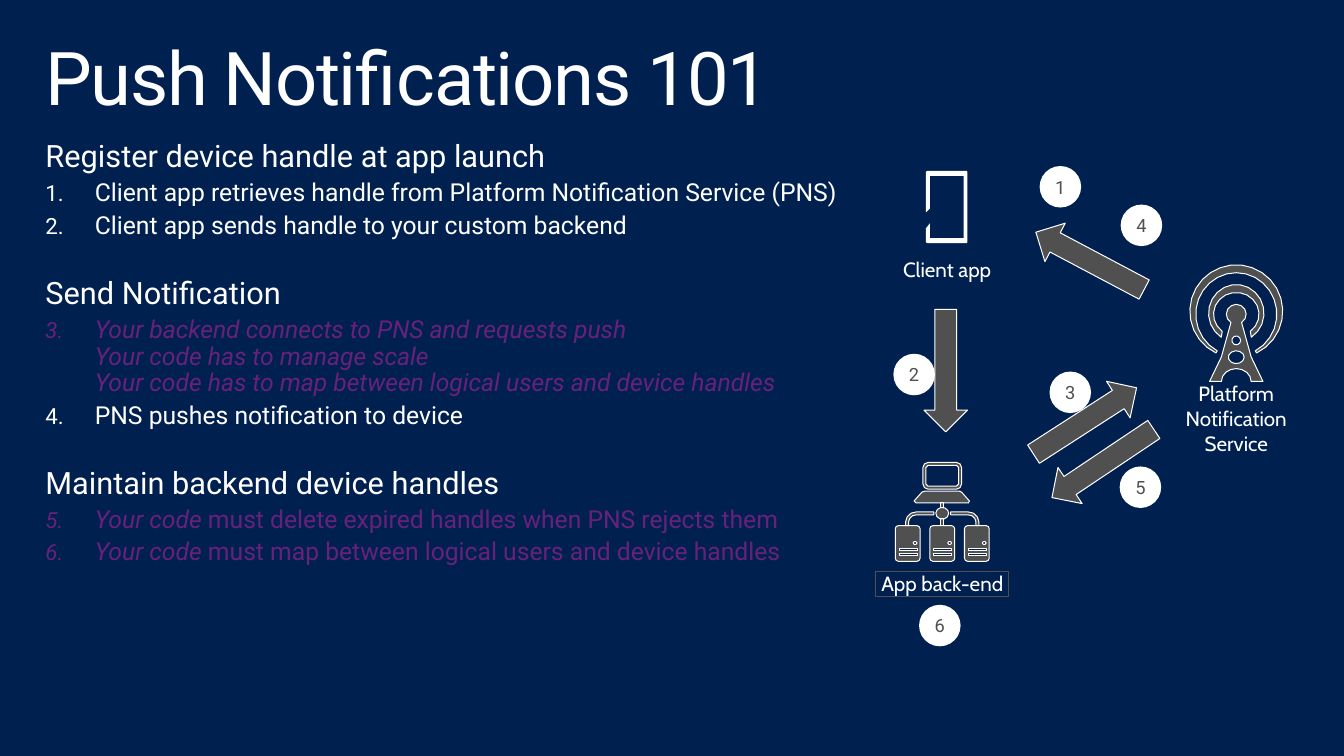
"""Build the Push Notifications 101 slide: numbered steps beside a message flow diagram."""
import math

import pptx
import pptx.dml.color
import pptx.enum.shapes
import pptx.enum.text
import pptx.oxml.ns
import pptx.util

WHITE, GREY, PURPLE, NAVY = "FFFFFF", "505050", "68217A", "002050"
Pt = pptx.util.Pt
shape_kinds = pptx.enum.shapes.MSO_SHAPE
anchors = pptx.enum.text.MSO_ANCHOR
aligns = pptx.enum.text.PP_ALIGN


def paint(target, colour):
    """Give a fill, line fill or font a solid colour, or no colour."""
    if colour is None:
        target.background()
    else:
        target.solid()
        target.fore_color.rgb = pptx.dml.color.RGBColor.from_string(colour)


def arc(x, y, across, down, start, end):
    """Return points along an ellipse, angles in degrees clockwise from the right."""
    steps = round(abs(end - start) * math.sqrt(across) / 90)
    angles = [math.radians(start + (end - start) * step / max(steps, 1))
              for step in range(steps + 1)]
    return [(x + across * math.cos(angle), y + down * math.sin(angle)) for angle in angles]


deck = pptx.Presentation()
deck.slide_width = pptx.util.Inches(13.6)
deck.slide_height = pptx.util.Inches(7.65)
cell = deck.slide_width // 1360
page = deck.slides.add_slide(deck.slide_layouts[6])
paint(page.background.fill, NAVY)

steps = [
    (None, [("Register device handle at app launch", WHITE, False)]),
    (1, [("Client app retrieves handle from Platform Notification Service (PNS)", WHITE, False)]),
    (1, [("Client app sends handle to your custom backend", WHITE, False)]),
    (None, [("Send Notification", WHITE, False)]),
    (3, [("Your backend connects to PNS and requests push\n"
          "Your code has to manage scale\n"
          "Your code has to map between logical users and device handles", PURPLE, True)]),
    (3, [("PNS pushes notification to device", WHITE, False)]),
    (None, [("Maintain backend device handles", WHITE, False)]),
    (5, [("Your code ", PURPLE, True),
         ("must delete expired handles when PNS rejects them", PURPLE, False)]),
    (5, [("Your code ", PURPLE, True),
         ("must map between logical users and device handles", PURPLE, False)]),
]
body = page.shapes.add_textbox(30 * cell, 133 * cell, 1300 * cell, 550 * cell)
frame = body.text_frame
frame.word_wrap = True
frame.margin_left = frame.margin_right = 16 * cell
frame.margin_top = frame.margin_bottom = 10 * cell
for index, (first_number, parts) in enumerate(steps):
    para = frame.paragraphs[0] if index == 0 else frame.add_paragraph()
    para.line_spacing = 0.9
    if first_number:
        para.space_before = Pt(4.2)
        layout = para._p.get_or_add_pPr()
        layout.set("marL", str(50 * cell))
        layout.set("indent", str(-50 * cell))
        size = layout.makeelement(pptx.oxml.ns.qn("a:buSzPct"), {"val": "90000"})
        number = layout.makeelement(pptx.oxml.ns.qn("a:buAutoNum"),
                                    {"type": "arabicPeriod", "startAt": str(first_number)})
        layout.extend([size, number])
    elif index:
        para.space_before = Pt(28.2)
    for text, colour, italic in parts:
        for line_index, line in enumerate(text.split("\n")):
            if line_index:
                para.add_line_break()
            span = para.add_run()
            span.text = line
            span.font.name = "Roboto"
            span.font.size = Pt(18 if first_number else 22.4)
            span.font.italic = italic
            paint(span.font.fill, colour)

tower = [
    arc(1251, 318, 10, 10, 123, 417)
    + [(1266, 361), (1278, 386)] + arc(1251, 386, 15, 13, 0, -180) + [(1224, 386), (1236, 361)],
    arc(1251, 317, 28, 29, 123, 417) + arc(1251, 318, 23, 22, 412, 128),
    arc(1251, 315, 47, 47, 116, 424) + arc(1251, 318, 41, 42, 422, 118),
    arc(1251, 344.5, 4.5, 4.5, 0, 320),
    arc(1251, 361.5, 8, 6.5, 0, 330),
]
phone = [[(941, 211), (941, 178), (975, 178), (975, 241), (941, 241), (941, 226), (937, 231),
          (937, 245), (938, 246), (978, 246), (979, 245), (979, 174), (978, 173), (938, 173),
          (937, 174), (937, 215)]]

middle = 953.5
backend = [
    arc(middle, 519.5, 6.5, 6, 0, 330),
    [(927, 509), (980, 509), (981, 507), (973, 498), (971, 497), (936, 497), (933, 498), (925, 507)],
]
for side in (-1, 1):
    cable = [(34, 532)] + arc(26, 528, 8, 7, 0, -90) + [(8.5, 521), (8.5, 518)]
    cable += arc(26, 528, 11, 10, -90, 0) + [(37, 532)]
    backend.append([(middle + side * x, y) for x, y in cable])
plates = [(934, 468, 973, 495, 5), (937, 471, 970, 492, 2), (952, 509, 955, 514, 0),
          (952, 525, 955, 532, 0)]
for left in (906, 941, 976):
    plates += [(left, 532, left + 25, 568, 3), (left + 4, 560, left + 22, 562, 0),
               (left + 4, 555, left + 22, 557, 0)]
    backend.append(arc(left + 20, 549.5, 2, 1.5, 0, 300))
for left, top, right, bottom, radius in plates:
    backend.append(arc(left + radius, top + radius, radius, radius, 180, 270)
                   + arc(right - radius, top + radius, radius, radius, 270, 360)
                   + arc(right - radius, bottom - radius, radius, radius, 0, 90)
                   + arc(left + radius, bottom - radius, radius, radius, 90, 180))

for contours, fill, line in [(tower, GREY, WHITE), (backend, GREY, WHITE), (phone, WHITE, None)]:
    scaled = [[(x * 10, y * 10) for x, y in contour] for contour in contours]
    builder = page.shapes.build_freeform(*scaled[0][0], scale=cell / 10)
    for index, contour in enumerate(scaled):
        if index:
            builder.move_to(*contour[0])
        builder.add_line_segments(contour[1:], close=True)
    icon = builder.convert_to_shape()
    icon.shadow.inherit = False
    icon.line.width = Pt(0.75)
    paint(icon.fill, fill)
    paint(icon.line.fill, line)

for left, top, turn in [(1041, 242, 207.9), (895, 353, 90), (1036, 404, 327.2), (1054, 447, 146.2)]:
    arrow = page.shapes.add_shape(shape_kinds.RIGHT_ARROW, left * cell, top * cell,
                                  124 * cell, 44 * cell)
    arrow.rotation = turn
    arrow.shadow.inherit = False
    arrow.line.width = Pt(0.75)
    paint(arrow.fill, GREY)
    paint(arrow.line.fill, WHITE)

labels = [
    ("Push Notifications 101", 46, 42, 1268, 80, 54, "Roboto", None),
    ("Platform\nNotification\nService", 1188, 386, 126, 77, 15, "Cabin", None),
    ("App back-end", 886, 578, 135, 26, 15, "Cabin", GREY),
    ("Client app", 910, 260, 97, 26, 15, "Cabin", None),
]
badges = [(1052, 168), (904, 358), (1062, 376), (1134, 207), (1133, 472), (930, 612)]
labels += [(str(number), left, top, 42, 42, 13.3, "Roboto", None)
           for number, (left, top) in enumerate(badges, 1)]
for text, left, top, width, height, size, font, line in labels:
    place = (left * cell, top * cell, width * cell, height * cell)
    is_badge, is_title = text.isdigit(), size == 54
    if is_badge:
        box = page.shapes.add_shape(shape_kinds.OVAL, *place)
        box.shadow.inherit = False
    else:
        box = page.shapes.add_textbox(*place)
    paint(box.fill, WHITE if is_badge else None)
    paint(box.line.fill, line)
    if line:
        box.line.width = Pt(0.75)
    frame = box.text_frame
    frame.text = text
    frame.word_wrap = True
    frame.margin_left = frame.margin_right = frame.margin_top = frame.margin_bottom = 0
    frame.vertical_anchor = anchors.MIDDLE if is_badge else anchors.TOP
    for para in frame.paragraphs:
        para.alignment = aligns.LEFT if is_title else aligns.CENTER
        para.line_spacing = 0.9 if is_title else 1.0
        span = para.runs[0]
        span.font.name = font
        span.font.size = Pt(size)
        paint(span.font.fill, GREY if is_badge else WHITE)
        if is_title:
            span._r.get_or_add_rPr().set("spc", "-100")

deck.save("out.pptx")
